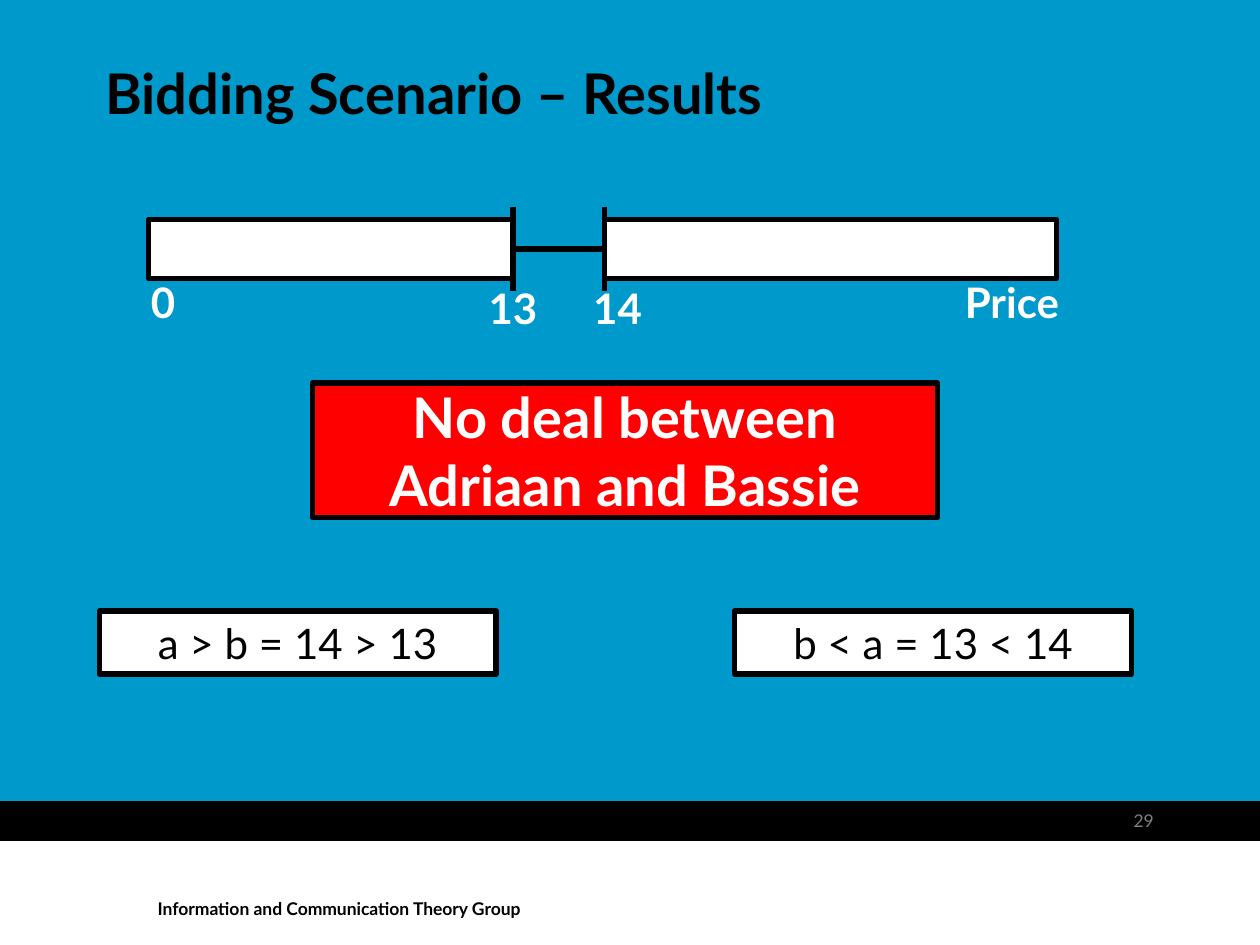
from dataclasses import dataclass

import pptx
import pptx.dml.color
import pptx.enum.shapes
import pptx.enum.text
import pptx.oxml.ns
import pptx.util
from lxml import etree

Cm = pptx.util.Cm
Pt = pptx.util.Pt
ALIGN = pptx.enum.text.PP_ALIGN
ANCHOR = pptx.enum.text.MSO_ANCHOR

FONT = "Lato"
BLACK, WHITE, RED, BLUE, GRAY = "000000", "FFFFFF", "FF0000", "0099CC", "808080"
SLIDE_W, SLIDE_H = 25.4, 19.05

# Price axis, in centimetres
AXIS_LEFT, BID_X, ASK_X, AXIS_RIGHT = 3.0, 10.34, 12.19, 21.3
BAR_TOP, BAR_H = 4.42, 1.2
AXIS_Y = BAR_TOP + BAR_H / 2
TICK_HALF = 0.85


@dataclass
class Box:
    left: float
    top: float
    width: float
    height: float


@dataclass
class TextStyle:
    size: float
    color: str = BLACK
    bold: bool = False
    align: ALIGN = ALIGN.LEFT
    inset_x: float = 0
    inset_y: float = 0.13


def rgb(color: str) -> pptx.dml.color.RGBColor:
    return pptx.dml.color.RGBColor.from_string(color)


def write(sp, text: str, style: TextStyle, anchor=ANCHOR.TOP) -> None:
    tf = sp.text_frame
    tf.text = text
    tf.word_wrap = True
    tf.vertical_anchor = anchor
    tf.margin_left = tf.margin_right = Cm(style.inset_x)
    tf.margin_top = tf.margin_bottom = Cm(style.inset_y)
    p = tf.paragraphs[0]
    p.alignment = style.align
    for r in p.runs:
        r.font.name = FONT
        r.font.size = Pt(style.size)
        r.font.bold = style.bold
        r.font.color.rgb = rgb(style.color)


def place(sp, box: Box) -> None:
    sp.left, sp.top = Cm(box.left), Cm(box.top)
    sp.width, sp.height = Cm(box.width), Cm(box.height)


def add_rect(slide, box: Box, fill: str, line_width: float = 3):
    """Add a filled rectangle; a line width of 0 means no outline."""
    sp = slide.shapes.add_shape(
        pptx.enum.shapes.MSO_SHAPE.RECTANGLE,
        Cm(box.left), Cm(box.top), Cm(box.width), Cm(box.height))
    sp.shadow.inherit = False
    sp.fill.solid()
    sp.fill.fore_color.rgb = rgb(fill)
    if line_width:
        sp.line.color.rgb = rgb(BLACK)
        sp.line.width = Pt(line_width)
    else:
        sp.line.fill.background()
    return sp


def add_text(slide, box: Box, text: str, style: TextStyle) -> None:
    sp = slide.shapes.add_textbox(
        Cm(box.left), Cm(box.top), Cm(box.width), Cm(box.height))
    write(sp, text, style)


def add_line(slide, x1: float, y1: float, x2: float, y2: float, arrow: bool = False):
    cxn = slide.shapes.add_connector(
        pptx.enum.shapes.MSO_CONNECTOR.STRAIGHT, Cm(x1), Cm(y1), Cm(x2), Cm(y2))
    cxn.line.color.rgb = rgb(BLACK)
    cxn.line.width = Pt(3)
    qn = pptx.oxml.ns.qn
    if arrow:
        etree.SubElement(cxn.line._get_or_add_ln(), qn("a:tailEnd"), type="triangle")
    etree.SubElement(cxn._element.spPr, qn("a:effectLst"))
    return cxn


def add_tick(slide, x: float, half: float) -> None:
    add_line(slide, x, AXIS_Y - half, x, AXIS_Y + half)


def add_price_axis(slide) -> None:
    axis = add_line(slide, AXIS_LEFT, AXIS_Y, AXIS_RIGHT, AXIS_Y, arrow=True)
    add_tick(slide, AXIS_LEFT, BAR_H / 2)
    bid_bar, ask_bar = [
        add_rect(slide, Box(start, BAR_TOP, end - start, BAR_H), WHITE)
        for start, end in ((AXIS_LEFT, BID_X), (ASK_X, AXIS_RIGHT))
    ]
    axis.begin_connect(bid_bar, 1)
    axis.end_connect(ask_bar, 3)
    for x in (BID_X, ASK_X):
        add_tick(slide, x, TICK_HALF)

    label = TextStyle(24, WHITE, bold=True, inset_x=0.25)
    for text, left, top, width in (
        ("0", 2.79, 5.44, 1.09),
        ("13", 9.6, 5.56, 1.6),
        ("14", 11.71, 5.56, 1.6),
        ("Price", 19.2, 5.44, 2.9),
    ):
        add_text(slide, Box(left, top, width, 1.27), text, label)


def main() -> None:
    prs = pptx.Presentation()
    prs.slide_width, prs.slide_height = Cm(SLIDE_W), Cm(SLIDE_H)
    slide = prs.slides.add_slide(prs.slide_layouts[5])
    slide.background.fill.solid()
    slide.background.fill.fore_color.rgb = rgb(BLUE)

    add_rect(slide, Box(0, 16.94, SLIDE_W, SLIDE_H - 16.94), WHITE, 0)
    add_rect(slide, Box(0, 16.16, SLIDE_W, 0.78), BLACK, 0.75)
    add_text(slide, Box(3.18, 17.98, 8.89, 0.84),
             "Information and Communication Theory Group", TextStyle(10, bold=True))

    title = slide.shapes.title
    place(title, Box(2.12, 1.0, 21.59, 1.72))
    write(title, "Bidding Scenario – Results", TextStyle(32, bold=True), ANCHOR.MIDDLE)

    comparison = TextStyle(24, align=ALIGN.CENTER)
    for left, text in ((2.0, "a > b = 14 > 13"), (14.81, "b < a = 13 < 14")):
        write(add_rect(slide, Box(left, 12.32, 8, 1.27), WHITE), text, comparison)

    add_price_axis(slide)

    verdict = add_rect(slide, Box(6.3, 7.72, 12.6, 2.72), RED)
    write(verdict, "No deal between Adriaan and Bassie",
          TextStyle(32, WHITE, bold=True, align=ALIGN.CENTER, inset_x=0.25, inset_y=0))

    add_text(slide, Box(17.98, 16.2, 5.28, 0.64), "29",
             TextStyle(10, GRAY, align=ALIGN.RIGHT))
    prs.save("out.pptx")


if __name__ == "__main__":
    main()
